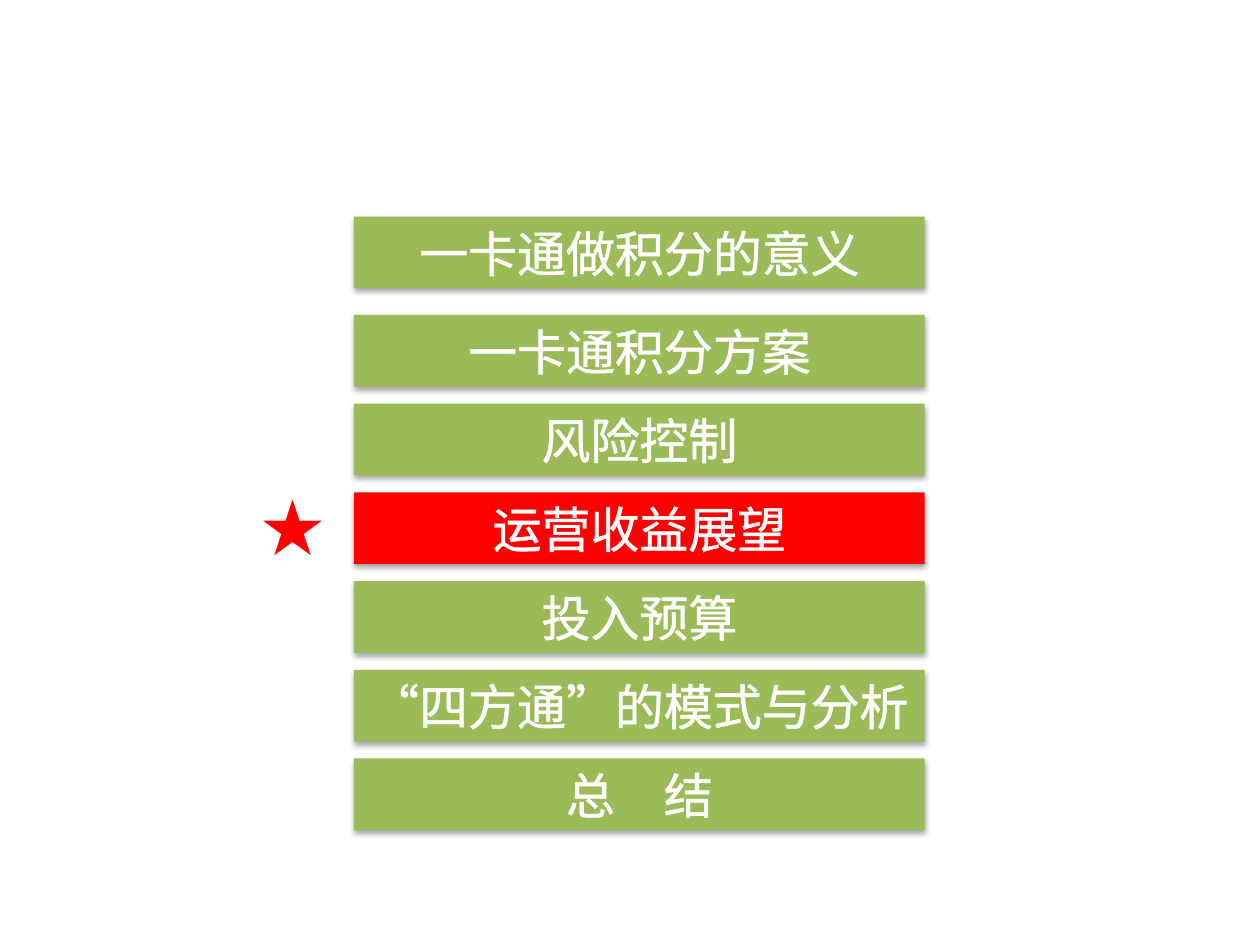
from lxml import etree
from pptx import Presentation
from pptx.dml.color import RGBColor
from pptx.enum import shapes, text
from pptx.oxml import parse_xml
from pptx.oxml.ns import nsdecls, qn
from pptx.util import Inches, Pt

FONT = "Calibri"
GREEN, RED, WHITE = "9BBB59", "FF0000", "FFFFFF"
TOPICS = [
    "一卡通做积分的意义",
    "一卡通积分方案",
    "风险控制",
    "运营收益展望",
    "投入预算",
    "“四方通”的模式与分析",
    "总　结",
]
CURRENT = 3
FIRST_TOP, SECOND_TOP, LAST_TOP = 1.72, 2.5, 6.02


def rgb(value):
    return RGBColor.from_string(value)


def style_run(r, size, color):
    r.font.size = Pt(size)
    r.font.name = FONT
    r.font.color.rgb = rgb(color)


def outline_run(r, color, width):
    ln = parse_xml(
        f'<a:ln {nsdecls("a")} w="{Pt(width)}"><a:solidFill>'
        f'<a:srgbClr val="{color}"/></a:solidFill></a:ln>'
    )
    r.font._element.insert(0, ln)


def add_soft_shadow(sp):
    sp.shadow.inherit = False
    effects = sp._element.spPr.find(qn("a:effectLst"))
    shadow = etree.SubElement(
        effects, qn("a:outerShdw"), blurRad=str(Pt(3.1)), dist=str(Pt(1.8)),
        dir="5400000", rotWithShape="0",
    )
    color = etree.SubElement(shadow, qn("a:srgbClr"), val="000000")
    etree.SubElement(color, qn("a:alpha"), val="35000")


def add_bar(s, label, top, fill):
    sp = s.shapes.add_shape(
        shapes.MSO_SHAPE.RECTANGLE,
        Inches(2.81), Inches(top), Inches(4.53), Inches(0.57),
    )
    sp.fill.solid()
    sp.fill.fore_color.rgb = rgb(fill)
    sp.line.fill.background()
    add_soft_shadow(sp)
    tf = sp.text_frame
    tf.text = label
    tf.word_wrap = True
    tf.vertical_anchor = text.MSO_ANCHOR.MIDDLE
    p = tf.paragraphs[0]
    p.alignment = text.PP_ALIGN.CENTER
    style_run(p.runs[0], 28, WHITE)
    outline_run(p.runs[0], WHITE, 1.45)


def add_star(s):
    sp = s.shapes.add_textbox(
        Inches(1.95), Inches(3.75), Inches(0.47), Inches(0.84)
    )
    tf = sp.text_frame
    tf.word_wrap = True
    tf.text = "★"
    style_run(tf.paragraphs[0].runs[0], 44, RED)


def main():
    prs = Presentation()
    prs.slide_width, prs.slide_height = Inches(10), Inches(7.5)
    s = prs.slides.add_slide(prs.slide_layouts[6])
    step = (LAST_TOP - SECOND_TOP) / (len(TOPICS) - 2)
    for i, label in enumerate(TOPICS):
        top = SECOND_TOP + (i - 1) * step if i else FIRST_TOP
        add_bar(s, label, top, RED if i == CURRENT else GREEN)
    add_star(s)
    prs.save("out.pptx")


if __name__ == "__main__":
    main()
